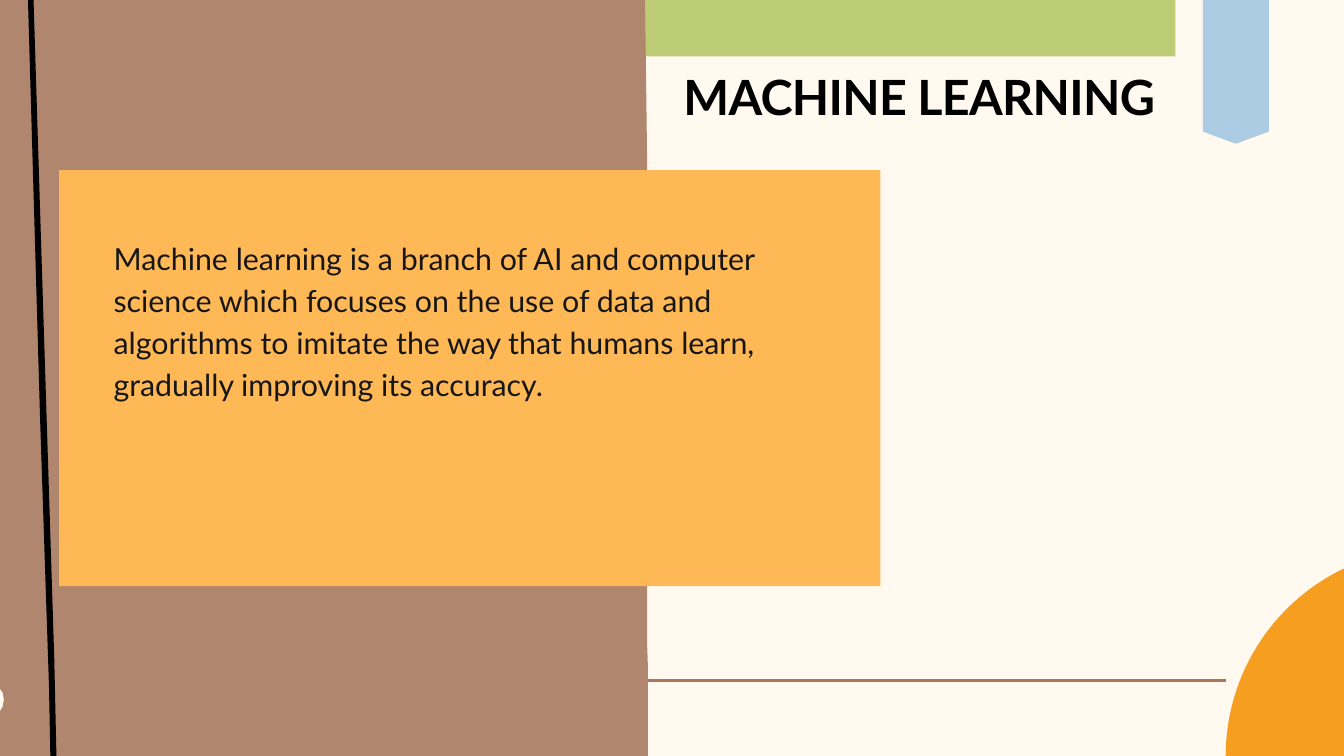
import math
from collections import namedtuple
from dataclasses import dataclass

from lxml import etree
from pptx import Presentation
from pptx.dml.color import RGBColor
from pptx.enum.shapes import MSO_CONNECTOR, MSO_SHAPE
from pptx.enum.text import MSO_ANCHOR, PP_ALIGN
from pptx.oxml.ns import qn
from pptx.util import Pt

RECTANGLE = MSO_SHAPE.RECTANGLE
STRAIGHT = MSO_CONNECTOR.STRAIGHT
TOP = MSO_ANCHOR.TOP
LEFT = PP_ALIGN.LEFT

Box = namedtuple("Box", "left top width height")


@dataclass(frozen=True)
class Theme:
    cream: str = "FFF9EF"
    green: str = "BCCC77"
    blue: str = "ABCCE3"
    orange: str = "F59E20"
    amber: str = "FFB856"
    brown: str = "B1866F"
    rule: str = "AC785B"
    black: str = "000000"
    ink: str = "161616"
    font: str = "Lato"
    title_size: float = 52
    body_size: float = 32.5


THEME = Theme()
SLIDE = Box(0, 0, 1440, 810)


def paint(shape, color):
    shape.shadow.inherit = False
    shape.fill.solid()
    shape.fill.fore_color.rgb = RGBColor.from_string(color)
    shape.line.fill.background()


def add_block(page, box, color):
    paint(page.shapes.add_shape(RECTANGLE, *map(Pt, box)), color)


def add_outline(page, box, points, color):
    """Draw a closed outline whose points are measured from the box corner."""
    corners = [(Pt(box.left + x), Pt(box.top + y)) for x, y in points]
    builder = page.shapes.build_freeform(*corners[0])
    builder.add_line_segments(corners[1:], close=True)
    paint(builder.convert_to_shape(), color)


def add_text(page, box, text, insets, para_format, font_format, color):
    frame = page.shapes.add_textbox(*map(Pt, box)).text_frame
    frame.word_wrap = True
    frame.vertical_anchor = TOP
    for side, inset in zip(("left", "top", "right", "bottom"), insets):
        setattr(frame, f"margin_{side}", Pt(inset))
    para = frame.paragraphs[0]
    for name, value in {"alignment": LEFT, "space_before": Pt(1), **para_format}.items():
        setattr(para, name, value)
    span = para.add_run()
    span.text = text
    for name, value in {"name": THEME.font, **font_format}.items():
        setattr(span.font, name, value)
    span.font.color.rgb = RGBColor.from_string(color)
    return span


def add_footer_rule(page, box):
    rule = page.shapes.add_connector(
        STRAIGHT, Pt(box.left), Pt(box.top), Pt(box.left + box.width), Pt(box.top))
    rule.line.width = Pt(3.75)
    rule.line.color.rgb = RGBColor.from_string(THEME.rule)
    etree.SubElement(rule._element.spPr, qn("a:effectLst"))


def add_corner_arc(page, box):
    """Part of a circle that rises from the box's lower left to its upper right."""
    radius = (box.width ** 2 + box.height ** 2) / (2 * box.width)
    sweep = math.asin(box.height / radius)
    steps = 40
    arc = [(radius * (1 - math.cos(sweep * i / steps)),
            box.height - radius * math.sin(sweep * i / steps))
           for i in range(steps + 1)]
    add_outline(page, box, arc + [(box.width, box.height)], THEME.orange)


def add_ribbon(page, box):
    shoulder = box.height - 13
    add_outline(page, box, [
        (0, 0), (box.width, 0), (box.width, shoulder),
        (box.width / 2, box.height), (0, shoulder)], THEME.blue)


def add_title(page, box):
    span = add_text(
        page, box, "MACHINE LEARNING", (0.7, 0.7, 0, 0), {},
        {"size": Pt(THEME.title_size), "bold": True}, THEME.black)
    span.font._element.set("spc", "-70")


def add_side_panel(page, box):
    # Slightly uneven right edge, and a small round notch on the left
    right, bottom = box.width, box.height
    add_outline(page, box, [
        (0, 0), (right - 2.9, 0), (right - 0.7, 173), (right, 235),
        (right - 0.7, 444), (right - 0.7, 690), (right, 711), (right, bottom),
        (0, bottom), (0, 762), (3, 757), (4.2, 749.5), (3, 742), (0, 738)],
        THEME.brown)


def add_slanted_stripe(page, box):
    right, bottom = box.width, box.height
    add_outline(page, box, [
        (0, 0), (6, 0), (14.4, 271), (28.2, 706), (right, bottom),
        (right - 6.5, bottom), (22.5, 734), (13, 449)], THEME.black)


def add_definition_card(page, box):
    add_block(page, box, THEME.amber)
    text_box = Box(box.left + 50.4, box.top + 66.2, 728, 187)
    add_text(
        page, text_box,
        "Machine learning is a branch of AI and computer science which focuses "
        "on the use of data and algorithms to imitate the way that humans learn, "
        "gradually improving its accuracy.",
        (7.9, 3.6, 7.2, 3.6), {"line_spacing": 1.15},
        {"size": Pt(THEME.body_size)}, THEME.ink)


def build_slide(deck):
    page = deck.slides.add_slide(deck.slide_layouts[6])
    page.background.fill.solid()
    page.background.fill.fore_color.rgb = RGBColor.from_string(THEME.cream)

    # Cream side: band, rule, corner, ribbon and title
    add_block(page, Box(167.8, 0, 1091.5, 60.5), THEME.green)
    add_footer_rule(page, Box(74, 729.2, 1239.3, 0))
    add_corner_arc(page, Box(1313.3, 609.1, 126.7, 200.9))
    add_ribbon(page, Box(1288.8, 0, 70.6, 154))
    add_title(page, Box(731.5, 70.6, 557.3, 64))

    # Brown side and the card across both
    add_side_panel(page, Box(0, 0, 694.1, SLIDE.height))
    add_slanted_stripe(page, Box(30, 0, 30.5, SLIDE.height))
    add_definition_card(page, Box(63.4, 182.2, 879.8, 445.7))


def main():
    deck = Presentation()
    deck.slide_width, deck.slide_height = Pt(SLIDE.width), Pt(SLIDE.height)
    build_slide(deck)
    deck.save("out.pptx")


if __name__ == "__main__":
    main()
